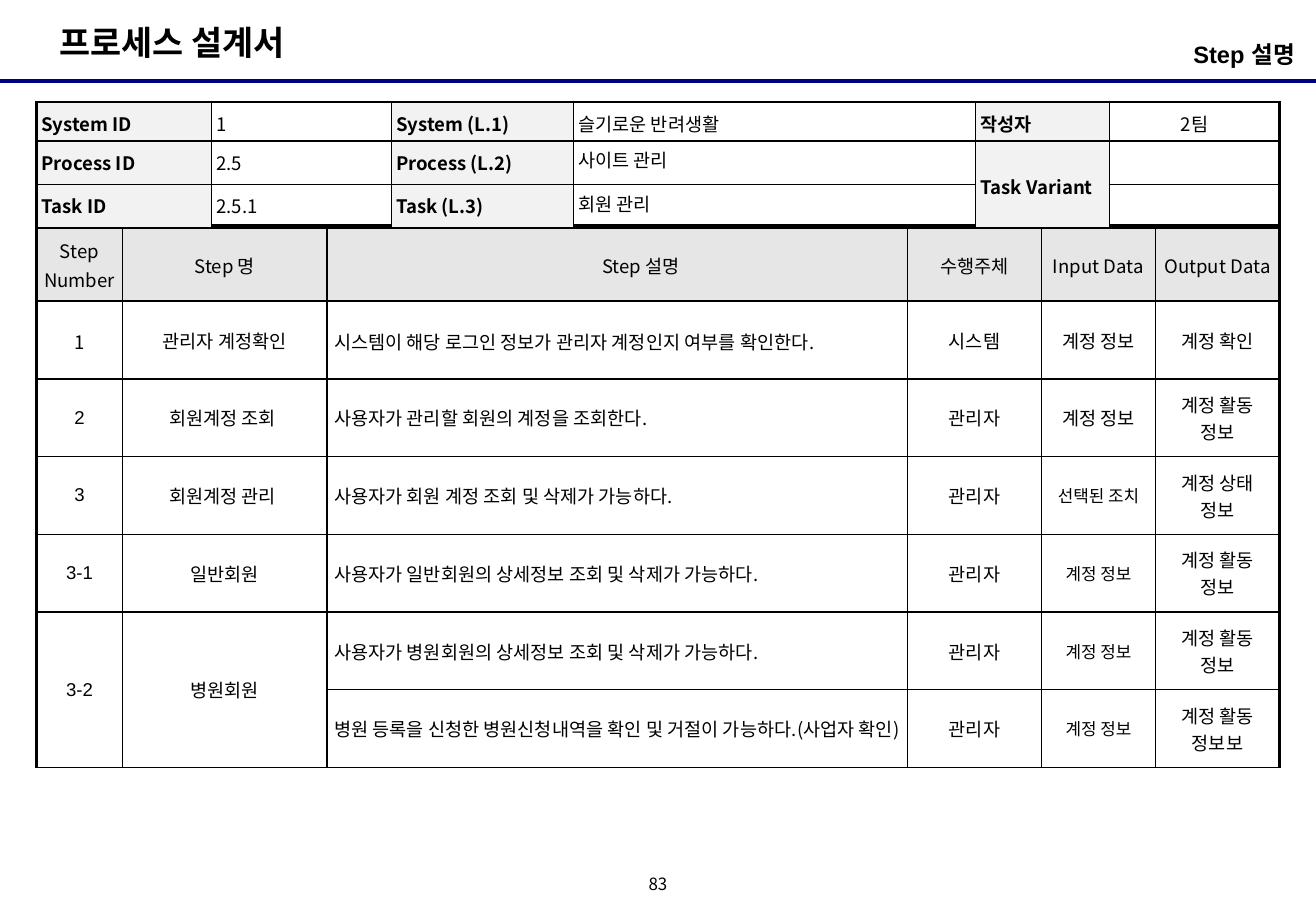
import pptx
import pptx.dml.color
import pptx.enum.shapes
import pptx.enum.text
import pptx.oxml
import pptx.oxml.ns
import pptx.util
from lxml import etree
from dataclasses import dataclass

PX = 9144  # EMU per px, 100 px to the inch
ALIGN = pptx.enum.text.PP_ALIGN
ANCHOR = pptx.enum.text.MSO_ANCHOR


@dataclass(frozen=True)
class Theme:
    ink: str = "000000"
    rule: str = "000080"
    label_fill: str = "F2F2F2"
    head_fill: str = "E6E6E6"
    latin: str = "Arial"
    korean: str = "Noto Sans CJK KR"
    title: int = 20
    subtitle: int = 14
    body: int = 11
    small: int = 10


T = Theme()

INFO_COLS = [144, 148, 150, 331, 110, 140]
INFO_ROWS = [32, 36, 36]
INFO = [
    ["System ID", "1", "System (L.1)", "슬기로운 반려생활", "작성자", "2팀"],
    ["Process ID", "2.5", "Process (L.2)", "사이트 관리", "Task Variant", ""],
    ["Task ID", "2.5.1", "Task (L.3)", "회원 관리", "", ""],
]

STEP_COLS = [71, 168, 478, 110, 94, 102]
STEP_ROWS = [62] + [64] * 6
STEPS = [
    ["Step Number", "Step 명", "Step 설명", "수행주체", "Input Data", "Output Data"],
    ["1", "관리자 계정확인", "시스템이 해당 로그인 정보가 관리자 계정인지 여부를 확인한다.",
     "시스템", "계정 정보", "계정 확인"],
    ["2", "회원계정 조회 ", "사용자가 관리할 회원의 계정을 조회한다.",
     "관리자", "계정 정보", "계정 활동 정보"],
    ["3", "회원계정 관리 ", "사용자가 회원 계정 조회 및 삭제가 가능하다.",
     "관리자", "선택된 조치", "계정 상태 정보"],
    ["3-1", "일반회원", "사용자가 일반회원의 상세정보 조회 및 삭제가 가능하다.",
     "관리자", "계정 정보", "계정 활동 정보"],
    ["3-2", "병원회원", "사용자가 병원회원의 상세정보 조회 및 삭제가 가능하다.",
     "관리자", "계정 정보", "계정 활동 정보"],
    ["", "", "병원 등록을 신청한 병원신청내역을 확인 및 거절이 가능하다.(사업자 확인)",
     "관리자", "계정 정보", "계정 활동 정보보"],
]


def rgb(code):
    return pptx.dml.color.RGBColor.from_string(code)


def emu(*lengths):
    return [pptx.util.Emu(n * PX) for n in lengths]


def write(tf, text, size, font, bold=False, align=ALIGN.LEFT, spacing=1.0):
    p = tf.paragraphs[0]
    p.alignment, p.line_spacing = align, spacing
    if not text:
        p.font.size = pptx.util.Pt(size)
        return p
    r = p.add_run()
    r.text = text
    r.font.name, r.font.size, r.font.bold = font, pptx.util.Pt(size), bold
    r.font.color.rgb = rgb(T.ink)
    ea = etree.SubElement(r.font._element, pptx.oxml.ns.qn("a:ea"))
    ea.set("typeface", T.korean)
    return p


def set_frame(s, box, margins, anchor=ANCHOR.TOP, wrap=True):
    s.left, s.top, s.width, s.height = emu(*box)
    tf = s.text_frame
    tf.word_wrap, tf.vertical_anchor = wrap, anchor
    tf.margin_left, tf.margin_top, tf.margin_right, tf.margin_bottom = emu(*margins)
    return tf


def add_text(slide, box, margins, anchor=ANCHOR.TOP):
    return set_frame(slide.shapes.add_textbox(*emu(*box)), box, margins, anchor)


def set_borders(cell, widths):
    """Widths in points: left, right, top, bottom."""
    tcPr = cell._tc.get_or_add_tcPr()
    for i, (side, width) in enumerate(zip("LRTB", widths)):
        ns = pptx.oxml.ns.nsdecls("a")
        tcPr.insert(i, pptx.oxml.parse_xml(
            f'<a:ln{side} {ns} w="{int(width * 12700)}"><a:solidFill>'
            f'<a:srgbClr val="{T.ink}"/></a:solidFill></a:ln{side}>'))


def add_grid(slide, at, cols, rows, merges, outer, margins):
    """Empty table; outer gives the weights of the left, right, top and bottom edge."""
    box = (*at, sum(cols), sum(rows))
    table = slide.shapes.add_table(len(rows), len(cols), *emu(*box)).table
    table.first_row = table.horz_banding = False
    for col, width in zip(table.columns, emu(*cols)):
        col.width = width
    for row, height in zip(table.rows, emu(*rows)):
        row.height = height
    for (r1, c1), (r2, c2) in merges:
        table.cell(r1, c1).merge(table.cell(r2, c2))
    for r in range(len(rows)):
        for c in range(len(cols)):
            cell = table.cell(r, c)
            cell.fill.background()
            bottom = r + (cell.span_height if cell.is_merge_origin else 1)
            edges = (c == 0, c == len(cols) - 1, r == 0, bottom == len(rows))
            set_borders(cell, [w if edge else 1 for w, edge in zip(outer, edges)])
            (cell.margin_left, cell.margin_top,
             cell.margin_right, cell.margin_bottom) = emu(*margins)
    return table


def fill_cell(cell, color):
    cell.fill.solid()
    cell.fill.fore_color.rgb = rgb(color)


def add_header(slide, box):
    x, y, w, h = box
    # Rule under the header
    line = slide.shapes.add_connector(
        pptx.enum.shapes.MSO_CONNECTOR.STRAIGHT, *emu(x, y + h, x + w, y + h))
    line.line.color.rgb = rgb(T.rule)
    line.line.width = pptx.util.Pt(2.25)
    etree.SubElement(line._element.spPr, pptx.oxml.ns.qn("a:effectLst"))
    # Title on the left, part name on the right
    tf = set_frame(slide.shapes.title, (x + 39, y + 13, 226, 44), (10, 5, 10, 5), wrap=False)
    write(tf, "프로세스 설계서", T.title, T.latin, bold=True)
    tf = add_text(slide, (x + w - 344, y + 28, 331, 39), (0, 5, 0, 5))
    write(tf, "Step 설명 ", T.subtitle, T.latin, bold=True, align=ALIGN.RIGHT)


def add_step_table(slide, at):
    table = add_grid(slide, at, STEP_COLS, STEP_ROWS,
                     [((5, 0), (6, 0)), ((5, 1), (6, 1))], (2.25, 2.25, 2.25, 1), (6, 4, 6, 4))
    for r, row in enumerate(STEPS):
        for c, text in enumerate(row):
            cell = table.cell(r, c)
            cell.vertical_anchor = ANCHOR.MIDDLE
            head, small = r == 0, r >= 3 and c == 4
            korean = head or small or c == 2 or (c == 1 and r > 1) or (r == 1 and c == 0)
            p = write(cell.text_frame, text, T.small if small else T.body,
                      T.korean if korean else T.latin,
                      align=ALIGN.LEFT if c == 2 and not head else ALIGN.CENTER,
                      spacing=1.1 if head or (r == 1 and c in (0, 2)) else 1.0)
            if head:
                fill_cell(cell, T.head_fill)
                if c == 2:
                    p._p.get_or_add_pPr().set("marL", str(39 * PX))


def add_info_table(slide, at):
    table = add_grid(slide, at, INFO_COLS, INFO_ROWS,
                     [((1, 4), (2, 4))], (1.5, 1.5, 1.5, 1.5), (4, 4, 4, 4))
    for r, row in enumerate(INFO):
        for c, text in enumerate(row):
            cell, label = table.cell(r, c), c % 2 == 0
            cell.vertical_anchor = ANCHOR.MIDDLE if c >= 4 else ANCHOR.TOP
            write(cell.text_frame, text, T.body, T.korean, bold=label,
                  align=ALIGN.CENTER if c == 5 else ALIGN.LEFT,
                  spacing=1.0 if c == 3 and r else 1.1)
            if label:
                fill_cell(cell, T.label_fill)


def add_page_number(slide, box):
    tf = add_text(slide, box, (0, 0, 0, 0), ANCHOR.MIDDLE)
    write(tf, "83", T.small, T.korean, align=ALIGN.CENTER, spacing=0.8)


def main():
    prs = pptx.Presentation()
    prs.slide_width, prs.slide_height = emu(1083, 750)
    slide = prs.slides.add_slide(prs.slide_layouts[5])
    add_header(slide, (0, 0, 1083, 67))
    add_page_number(slide, (525, 717, 33, 25))
    add_step_table(slide, (30, 186))
    add_info_table(slide, (30, 84))
    prs.save("out.pptx")


if __name__ == "__main__":
    main()
